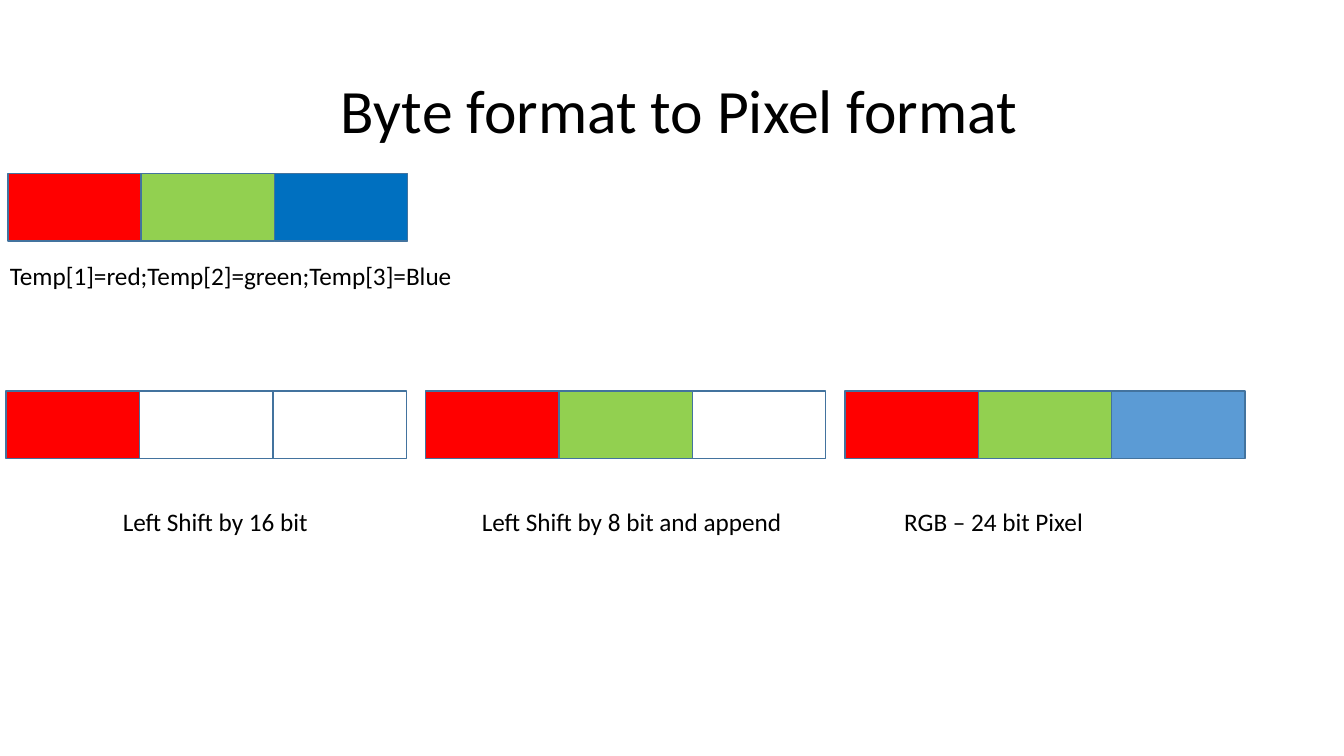
from dataclasses import dataclass

from pptx import Presentation
from pptx.dml.color import RGBColor
from pptx.enum.shapes import MSO_SHAPE
from pptx.enum.text import MSO_ANCHOR, PP_ALIGN
from pptx.util import Inches, Pt

RECT = MSO_SHAPE.RECTANGLE
TOP = MSO_ANCHOR.TOP
MIDDLE = MSO_ANCHOR.MIDDLE
LEFT = PP_ALIGN.LEFT
CENTER = PP_ALIGN.CENTER


@dataclass(frozen=True)
class Theme:
    font: str = "Calibri"
    title: int = 44
    label: int = 18
    text: str = "000000"
    edge: str = "43739E"
    red: str = "FF0000"
    green: str = "92D050"
    blue: str = "0070C0"
    pale: str = "5B9BD5"
    white: str = "FFFFFF"


THEME = Theme()


def add_text(slide, box, words, size, align=LEFT, anchor=TOP, space=1.0):
    frame = slide.shapes.add_textbox(*map(Inches, box)).text_frame
    frame.word_wrap = True
    frame.vertical_anchor = anchor
    frame.text = words
    line = frame.paragraphs[0]
    line.alignment = align
    line.line_spacing = space
    font = line.runs[0].font
    font.name = THEME.font
    font.size = Pt(size)
    font.color.rgb = RGBColor.from_string(THEME.text)


def add_title(slide, box, words):
    add_text(slide, box, words, THEME.title, CENTER, MIDDLE, 0.9)


def add_strip(slide, box, fills):
    left, top, width, height = box
    step = width / len(fills)
    for index, color in reversed(list(enumerate(fills))):
        cell = slide.shapes.add_shape(
            RECT, Inches(left + index * step), Inches(top), Inches(step), Inches(height)
        )
        cell.shadow.inherit = False
        cell.line.color.rgb = RGBColor.from_string(THEME.edge)
        cell.line.width = Pt(1)
        if color:
            cell.fill.solid()
            cell.fill.fore_color.rgb = RGBColor.from_string(color)
        else:
            cell.fill.background()


def add_bytes(slide, box):
    left, top, width, height = box
    add_strip(slide, (left + 0.08, top, width, height), (THEME.red, THEME.green, THEME.blue))
    words = "Temp[1]=red;Temp[2]=green;Temp[3]=Blue"
    add_text(slide, (left, top + 0.81, 4.68, 0.4), words, THEME.label)


def add_steps(slide, box):
    left, top, width, height = box
    steps = (
        ((THEME.red, THEME.white, None), "Left Shift by 16 bit", 1.06, 2.2),
        ((THEME.red, THEME.green, None), "Left Shift by 8 bit and append", 0.46, 3.51),
        ((THEME.red, THEME.green, THEME.pale), "RGB – 24 bit Pixel", 0.49, 2.2),
    )
    pitch = width + 0.19
    for index, (fills, words, inset, span) in enumerate(steps):
        start = left + index * pitch
        add_strip(slide, (start, top, width, height), fills)
        add_text(slide, (start + inset, top + 1.09, span, 0.4), words, THEME.label)


def main():
    deck = Presentation()
    deck.slide_width = Inches(13.33)
    deck.slide_height = Inches(7.5)
    slide = deck.slides.add_slide(deck.slide_layouts[6])
    add_title(slide, (0.92, 0.4, 11.5, 1.45), " Byte format to Pixel format")
    add_bytes(slide, (0, 1.72, 3.96, 0.67))
    add_steps(slide, (0.06, 3.88, 3.97, 0.67))
    deck.save("out.pptx")


if __name__ == "__main__":
    main()
